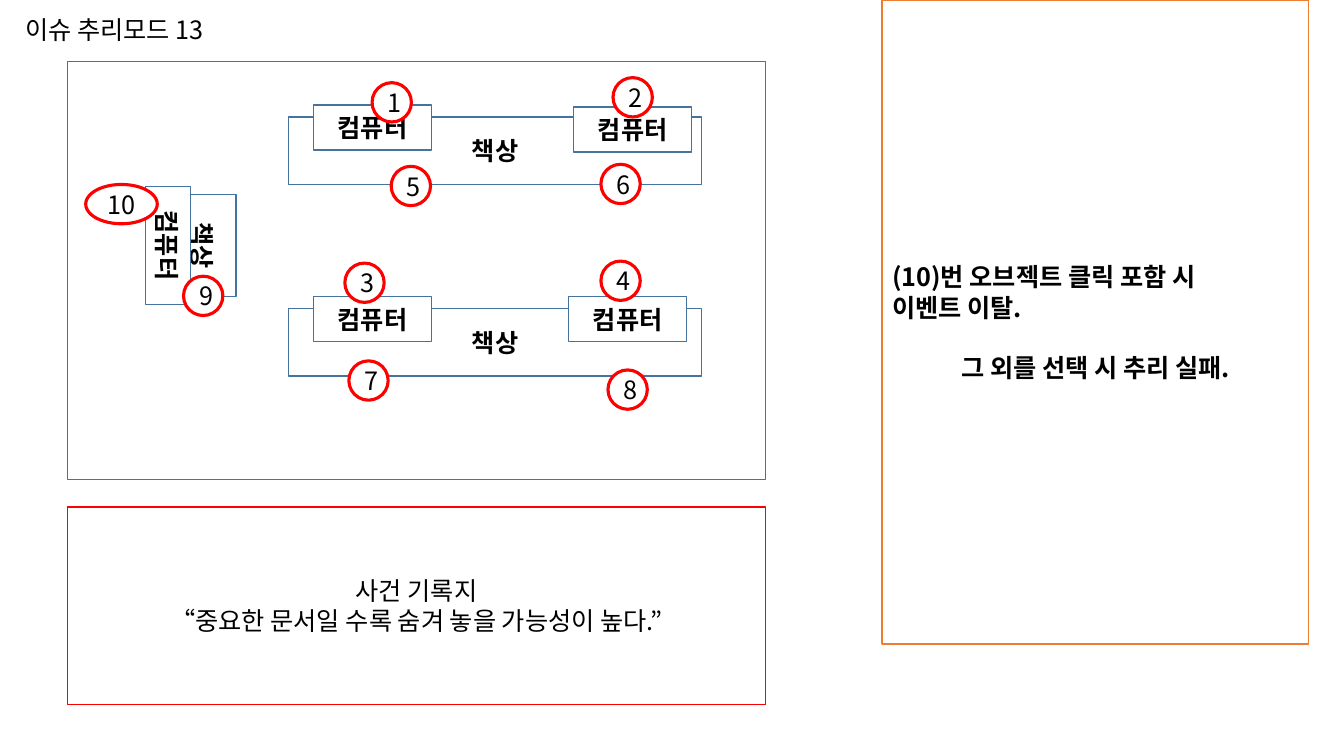
"""Builds the room map slide with numbered objects and its event rules."""
from lxml.etree import SubElement
from pptx import Presentation
from pptx.dml.color import RGBColor
from pptx.enum.shapes import MSO_SHAPE as SHAPE
from pptx.enum.text import MSO_ANCHOR as ANCHOR, MSO_AUTO_SIZE as AUTO, PP_ALIGN as ALIGN
from pptx.oxml.ns import qn
from pptx.util import Inches, Pt

FONT = "Noto Sans CJK KR"
BLACK, WHITE, BLUE, ORANGE, RED = "000000", "FFFFFF", "43739E", "ED7D31", "FF0000"

TITLE = "이슈 추리모드 13"
RULES = ["(10)번 오브젝트 클릭 포함 시", "이벤트 이탈."]
FAIL_RULE = "그 외를 선택 시 추리 실패."
RECORD = ["사건 기록지", "“중요한 문서일 수록 숨겨 놓을 가능성이 높다.”"]

ROOM = (0.67, 0.61, 6.92, 4.15)
RULE_PANEL = (8.75, 0, 4.23, 6.39)
RECORD_PANEL = (0.67, 5.03, 6.92, 1.96)
TITLE_BOX = (0.15, 0.09, 3.23, 0.4)

DESK, COMPUTER = "책상", "컴퓨터"
COMPUTER_SIZE = (1.17, 0.45)
FURNITURE = [
    (DESK, (2.86, 3.06, 4.1, 0.67), 0),
    (DESK, (2.86, 1.16, 4.1, 0.67), 0),
    (COMPUTER, (3.11, 1.04, *COMPUTER_SIZE), 0),
    (COMPUTER, (5.69, 1.06, *COMPUTER_SIZE), 0),
    (COMPUTER, (3.11, 2.94, *COMPUTER_SIZE), 0),
    (COMPUTER, (5.64, 2.94, *COMPUTER_SIZE), 0),
    (DESK, (1.5, 2.1, 1.01, 0.67), 90),
    (COMPUTER, (1.08, 2.21, *COMPUTER_SIZE), 90),
]

MARKER = 0.39
WIDE_MARKER = 0.71
MARKERS = [
    (3.69, 0.82), (6.08, 0.77), (3.42, 2.61), (5.96, 2.59), (3.88, 1.65),
    (5.96, 1.63), (3.46, 3.58), (6.03, 3.67), (1.82, 2.74), (0.85, 1.83),
]


def color(value):
    return RGBColor.from_string(value)


def add_text(tf, lines, align=ALIGN.CENTER, bold=False):
    for i, line in enumerate(lines):
        p = tf.paragraphs[0] if i == 0 else tf.add_paragraph()
        p.alignment = align
        r = p.add_run()
        r.text = line
        r.font.size = Pt(18)
        r.font.bold = bold
        r.font.name = FONT
        r.font.color.rgb = color(BLACK)
        SubElement(r.font._element, qn("a:ea"), typeface=FONT)


def add_box(s, box, line, lines=(), kind=SHAPE.RECTANGLE, width=1,
            align=ALIGN.CENTER, bold=False):
    sp = s.shapes.add_shape(kind, *map(Inches, box))
    sp.shadow.inherit = False
    sp.fill.solid()
    sp.fill.fore_color.rgb = color(WHITE)
    sp.line.color.rgb = color(line)
    sp.line.width = Pt(width)
    sp.text_frame.vertical_anchor = ANCHOR.MIDDLE
    add_text(sp.text_frame, lines, align, bold)
    return sp


def main():
    prs = Presentation()
    prs.slide_width, prs.slide_height = Inches(13.33), Inches(7.5)
    s = prs.slides.add_slide(prs.slide_layouts[6])

    add_box(s, ROOM, BLUE)
    rules = add_box(s, RULE_PANEL, ORANGE, [*RULES, FAIL_RULE], align=ALIGN.LEFT, bold=True)
    fail = rules.text_frame.paragraphs[-1]
    fail.alignment = ALIGN.CENTER
    fail.space_before = Pt(21.5)

    tf = s.shapes.add_textbox(*map(Inches, TITLE_BOX)).text_frame
    tf.word_wrap = True
    tf.auto_size = AUTO.SHAPE_TO_FIT_TEXT
    add_text(tf, [TITLE], ALIGN.LEFT)

    add_box(s, RECORD_PANEL, RED, RECORD)
    for name, box, angle in FURNITURE:
        add_box(s, box, BLUE, [name], bold=True).rotation = angle
    for number, (x, y) in enumerate(MARKERS, 1):
        width = MARKER if number < 10 else WIDE_MARKER
        add_box(s, (x, y, width, MARKER), RED, [str(number)], SHAPE.OVAL, 2.25)

    prs.save("out.pptx")


if __name__ == "__main__":
    main()
